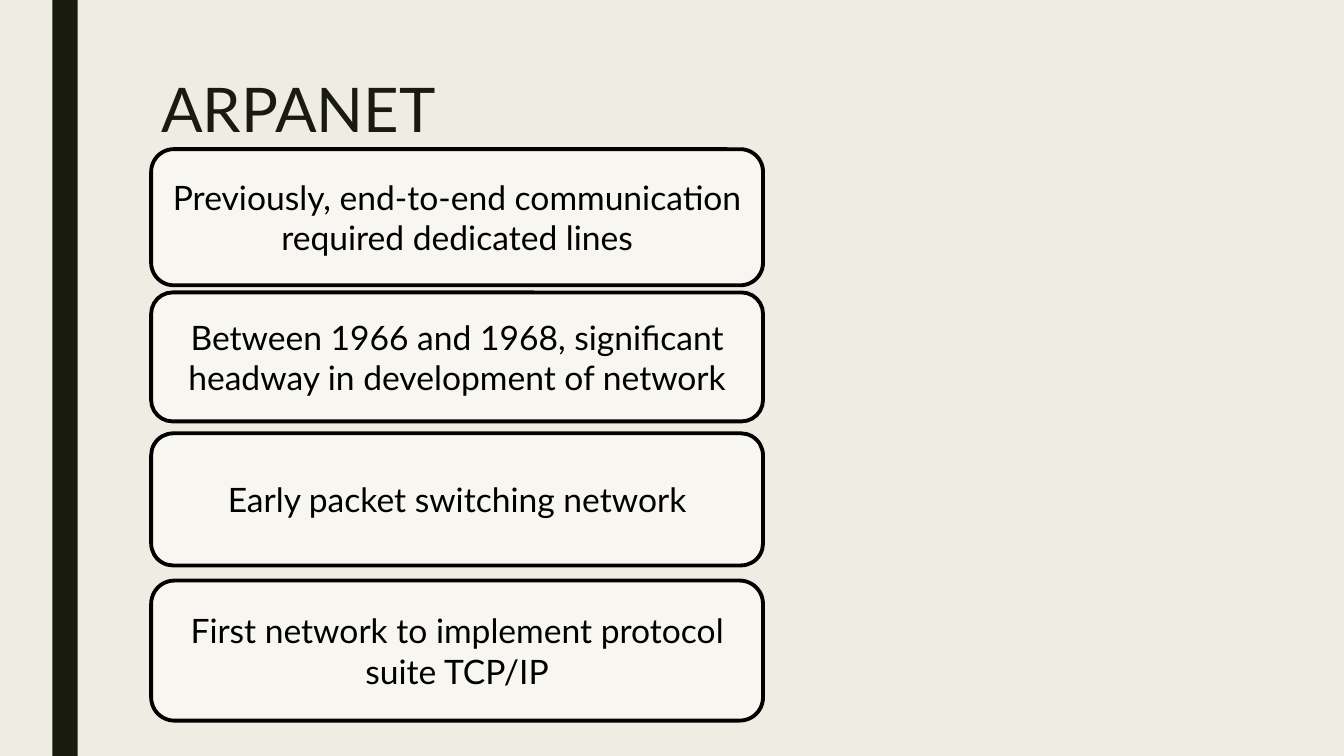
from pptx import Presentation
from pptx.dml.color import RGBColor
from pptx.enum.shapes import MSO_SHAPE as Kind
from pptx.enum.text import MSO_ANCHOR as Anchor, PP_ALIGN as Align
from pptx.oxml.ns import qn
from pptx.util import Cm, Pt
from lxml.etree import SubElement


def paint(fmt, tone):
    """Give a fill or font a solid colour from a hex string."""
    if hasattr(fmt, "solid"):
        fmt.solid()
        fmt.fore_color.rgb = RGBColor.from_string(tone)
    else:
        fmt.color.rgb = RGBColor.from_string(tone)


def write(shape, text, size, tone, **style):
    """Put one styled paragraph into a shape."""
    frame = shape.text_frame
    frame.word_wrap = True
    frame.vertical_anchor = style.pop("anchor")
    para = frame.paragraphs[0]
    for name, value in style.items():
        setattr(para, name, value)
    run = para.add_run()
    run.text = text
    for name, value in {"name": "Lato", "size": Pt(size)}.items():
        setattr(run.font, name, value)
    paint(run.font, tone)


INK = "191B0E"
LEFT, WIDTH = Cm(3.81), Cm(15.42)

deck = Presentation()
deck.slide_width, deck.slide_height = Cm(33.87), Cm(19.05)
slide = deck.slides.add_slide(deck.slide_layouts[6])
paint(slide.background.fill, "EFEDE3")

bar = slide.shapes.add_shape(Kind.RECTANGLE, Cm(1.32), 0, Cm(0.64), deck.slide_height)
bar.shadow.inherit = False
paint(bar.fill, INK)
bar.line.fill.background()

title = slide.shapes.add_textbox(LEFT, Cm(1.9), Cm(26.67), Cm(4.11))
write(title, "ARPANET", 44, INK, anchor=Anchor.TOP, line_spacing=0.89)

# Top and height in cm
facts = [
    (3.76, 3.43, "Previously, end-to-end communication required dedicated lines"),
    (7.37, 3.25, "Between 1966 and 1968, significant headway in development of network"),
    (10.92, 3.33, "Early packet switching network"),
    (14.63, 3.53, "First network to implement protocol suite TCP/IP"),
]
for top, height, text in facts:
    card = slide.shapes.add_shape(Kind.ROUNDED_RECTANGLE, LEFT, Cm(top), WIDTH, Cm(height))
    card.shadow.inherit = False
    paint(card.fill, "FFFFFF")
    white = card.fill._xPr.find(qn("a:solidFill"))[0]
    SubElement(white, qn("a:alpha"), val="50000")
    paint(card.line.fill, "000000")
    card.line.width = Pt(2.75)
    write(card, text, 24, "000000", anchor=Anchor.MIDDLE, alignment=Align.CENTER)

deck.save("out.pptx")
